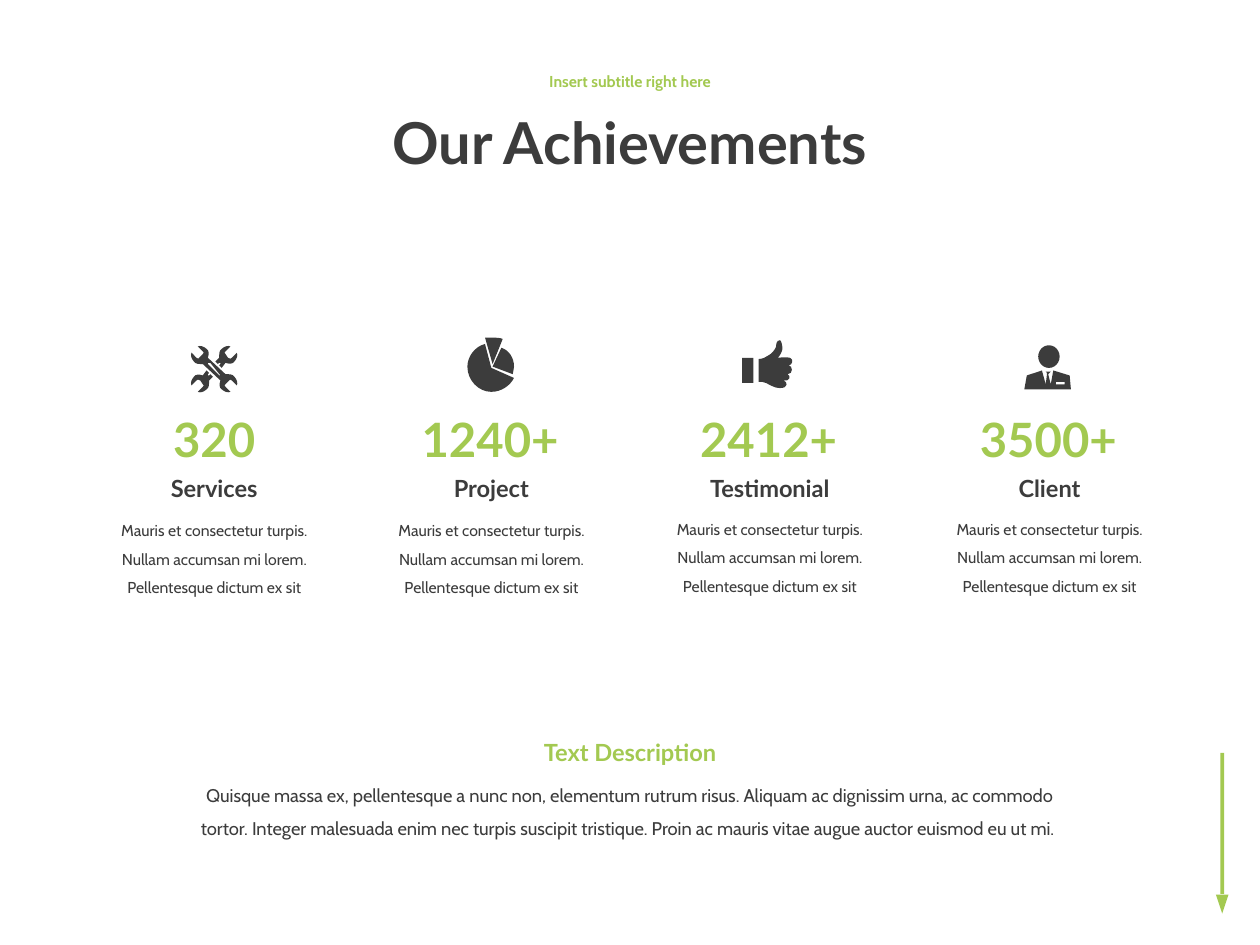
"""Build the "Our Achievements" slide with four icon statistics."""
from lxml.etree import SubElement
from pptx import Presentation
from pptx.dml.color import RGBColor
from pptx.enum.shapes import MSO_SHAPE
from pptx.enum.text import MSO_ANCHOR, MSO_AUTO_SIZE, PP_ALIGN
from pptx.oxml.ns import qn
from pptx.util import Inches, Pt

GREEN = RGBColor(0xA3, 0xC9, 0x51)
DARK = RGBColor(0x3C, 0x3C, 0x3C)
WHITE = RGBColor(0xFF, 0xFF, 0xFF)
HEAD, BODY = "Lato", "Cabin"

STATS = [
    (1.7, 1.7, 1.4, 4.01, "320", "Services"),
    (3.9, 3.89, 1.4, 4.01, "1240+", "Project"),
    (6.11, 6.1, 1.83, 4, "2412+", "Testimonial"),
    (8.33, 8.32, 1.4, 4, "3500+", "Client"),
]
STAT_TEXT = ("Mauris et consectetur turpis. Nullam accumsan mi lorem. "
             "Pellentesque dictum ex sit")
DESCRIPTION = (
    "Quisque massa ex, pellentesque a nunc non, elementum rutrum risus. "
    "Aliquam ac dignissim urna, ac commodo tortor. Integer malesuada enim nec "
    "turpis suscipit tristique. Proin ac mauris vitae augue auctor euismod eu ut mi. ")

PIE_SLICES = [
    [(3.91, 2.91), (4.07, 2.97), (4.07, 2.96, 4.08, 2.93, 4.08, 2.91),
     (4.08, 2.84, 4.04, 2.78, 3.98, 2.76)],
    [(3.9, 2.92), (3.85, 2.73), (3.77, 2.75, 3.71, 2.83, 3.71, 2.91),
     (3.71, 3.02, 3.8, 3.11, 3.9, 3.11), (3.98, 3.11, 4.05, 3.06, 4.08, 3)],
    [(3.91, 2.89), (3.99, 2.69), (3.97, 2.68, 3.94, 2.68, 3.9, 2.68),
     (3.89, 2.68, 3.87, 2.68, 3.85, 2.68)],
]
SMALL_WRENCH = [
    (1.73, 2.89), (1.74, 2.88), (1.75, 2.88), (1.75, 2.89), (1.74, 2.9),
    (1.76, 2.92), (1.79, 2.88), (1.82, 2.89, 1.85, 2.89, 1.86, 2.87),
    (1.88, 2.85, 1.89, 2.82, 1.88, 2.8), (1.84, 2.84),
    (1.84, 2.85, 1.82, 2.85, 1.81, 2.84), (1.79, 2.81),
    (1.78, 2.81, 1.78, 2.79, 1.79, 2.79), (1.83, 2.75),
    (1.81, 2.74, 1.78, 2.75, 1.76, 2.77),
    (1.74, 2.78, 1.74, 2.81, 1.74, 2.84), (1.71, 2.87)]
HALF_WRENCH = [
    (1.86, 2.99), (1.85, 2.97, 1.82, 2.97, 1.79, 2.97), (1.65, 2.84),
    (1.66, 2.81, 1.66, 2.78, 1.64, 2.77),
    (1.62, 2.75, 1.59, 2.74, 1.57, 2.75), (1.61, 2.79),
    (1.62, 2.79, 1.62, 2.81, 1.61, 2.81), (1.58, 2.84),
    (1.58, 2.85, 1.57, 2.85, 1.56, 2.84), (1.52, 2.8),
    (1.51, 2.82, 1.52, 2.85, 1.54, 2.87)]
WRENCH_SLOT = [(1.75, 2.98), (1.74, 2.98), (1.65, 2.89),
               (1.65, 2.89, 1.65, 2.89, 1.65, 2.88),
               (1.66, 2.88, 1.66, 2.88, 1.67, 2.88), (1.75, 2.96)]
HAND = [
    (6.27, 2.84), (6.25, 2.83, 6.17, 2.84, 6.17, 2.84),
    (6.19, 2.83, 6.21, 2.78, 6.21, 2.77), (6.21, 2.74, 6.2, 2.7, 6.19, 2.7),
    (6.16, 2.7, 6.16, 2.74, 6.16, 2.75), (6.15, 2.78, 6.12, 2.81, 6.1, 2.82),
    (6.08, 2.83, 6.06, 2.85, 6.02, 2.85), (6.02, 3.03),
    (6.04, 3.03, 6.06, 3.03, 6.08, 3.04), (6.12, 3.06, 6.15, 3.08, 6.19, 3.08),
    (6.26, 3.08, 6.25, 3.03, 6.22, 3.02), (6.27, 3.03, 6.28, 2.98, 6.25, 2.97),
    (6.3, 2.97, 6.29, 2.9, 6.26, 2.9), (6.29, 2.9, 6.3, 2.85, 6.27, 2.84)]
SUIT = [(8.49, 2.98), (8.36, 2.94), (8.34, 3.05), (8.32, 2.97), (8.33, 2.96),
        (8.34, 2.95), (8.3, 2.95), (8.31, 2.96), (8.31, 2.97), (8.3, 3.05),
        (8.27, 2.94), (8.15, 2.98), (8.13, 3.09), (8.5, 3.09)]
POCKET = [(8.45, 3.05), (8.38, 3.05), (8.38, 3.03), (8.42, 3.03), (8.45, 3.03)]


def half_turn(outline, cx=1.7, cy=2.93):
    """Rotate an outline by 180 degrees about a centre."""
    return [tuple(round(2 * (cy if i % 2 else cx) - v, 2) for i, v in enumerate(seg))
            for seg in outline]


class Deck:
    """Hold the style and the current slide."""

    def __init__(self, prs):
        """Add a blank slide to draw on."""
        self.s = prs.slides.add_slide(prs.slide_layouts[6])

    def paint(self, sp, color, alpha=None):
        """Give a shape a flat fill without line or shadow."""
        sp.shadow.inherit = False
        sp.fill.solid()
        sp.fill.fore_color.rgb = color
        sp.line.fill.background()
        if alpha is not None:
            clr = sp._element.spPr.find(qn("a:solidFill"))[0]
            SubElement(clr, qn("a:alpha")).set("val", str(alpha * 1000))

    def shape(self, kind, box, color, rotation=0, alpha=None):
        """Add a preset shape."""
        sp = self.s.shapes.add_shape(kind, *map(Inches, box))
        sp.rotation = rotation
        self.paint(sp, color, alpha)

    def outline(self, *outlines, color=DARK):
        """Add a freeform of closed outlines, six-number segments being cubic curves."""
        ends = [[tuple(map(Inches, seg[-2:])) for seg in o] for o in outlines]
        fb = self.s.shapes.build_freeform(*ends[0][0], scale=1.0)
        for i, points in enumerate(ends):
            if i:
                fb.move_to(*points[0])
            fb.add_line_segments(points[1:], close=True)
        sp = fb.convert_to_shape()
        segments = [seg for o in outlines for seg in o[1:] + o[:1]]
        for line, seg in zip(list(sp._element.iter(qn("a:lnTo"))), segments):
            if len(seg) == 6:
                line.tag = qn("a:cubicBezTo")
                line.remove(line[0])
                for x, y in zip(seg[::2], seg[1::2]):
                    pt = SubElement(line, qn("a:pt"))
                    pt.set("x", str(Inches(x) - sp.left))
                    pt.set("y", str(Inches(y) - sp.top))
        self.paint(sp, color)

    def text(self, text, cx, top, width, height, size, color=DARK, font=HEAD,
             bold=True, spacing=None, middle=False):
        """Add a text box centred on cx."""
        sp = self.s.shapes.add_textbox(
            Inches(cx - width / 2), Inches(top), Inches(width), Inches(height))
        tf = sp.text_frame
        tf.word_wrap = True
        if middle:
            tf.vertical_anchor = MSO_ANCHOR.MIDDLE
        else:
            tf.auto_size = MSO_AUTO_SIZE.SHAPE_TO_FIT_TEXT
        p = tf.paragraphs[0]
        p.alignment = PP_ALIGN.CENTER
        p.line_spacing = spacing
        r = p.add_run()
        r.text = text
        r.font.name, r.font.size, r.font.bold = font, Pt(size), bold
        r.font.color.rgb = color


def main():
    """Build and save the slide."""
    prs = Presentation()
    prs.slide_width, prs.slide_height = Inches(10), Inches(7.5)
    deck = Deck(prs)

    deck.shape(MSO_SHAPE.RECTANGLE, (9.14, 6.52, 1.12, 0.03), GREEN, rotation=90)
    deck.shape(MSO_SHAPE.ISOSCELES_TRIANGLE, (9.65, 7.1, 0.1, 0.15), GREEN, rotation=180)
    deck.text("Our Achievements", 5, 0.64, 5.63, 1.03, 33, spacing=0.9, middle=True)
    deck.text("Insert subtitle right here", 5, 0.46, 5.63, 0.38, 9, GREEN, BODY,
              spacing=0.9, middle=True)
    deck.shape(MSO_SHAPE.RECTANGLE, (0, 1.93, 10, 3.54), WHITE, alpha=85)

    for pie_slice in PIE_SLICES:
        deck.outline(pie_slice)
    deck.outline(SMALL_WRENCH)
    deck.outline(half_turn(SMALL_WRENCH))
    deck.outline(HALF_WRENCH + half_turn(HALF_WRENCH)[1:], WRENCH_SLOT)
    deck.outline(HAND)
    deck.shape(MSO_SHAPE.RECTANGLE, (5.89, 2.84, 0.09, 0.2), DARK)
    deck.outline(SUIT, POCKET)
    deck.shape(MSO_SHAPE.OVAL, (8.24, 2.74, 0.17, 0.18), DARK)

    for cx, number_cx, label_width, text_top, number, label in STATS:
        deck.text(label, cx, 3.71, label_width, 0.33, 13.5)
        deck.text(number, number_cx, 3.21, 1.76, 0.56, 27, GREEN)
        deck.text(STAT_TEXT, cx, text_top, 1.96, 0.76, 9, font=BODY, bold=False,
                  spacing=1.5)

    deck.text(DESCRIPTION, 5, 6.09, 7.12, 0.6, 10.5, font=BODY, bold=False, spacing=1.5)
    deck.text("Text Description", 5, 5.81, 2.19, 0.33, 13.5, GREEN)
    prs.save("out.pptx")


if __name__ == "__main__":
    main()
